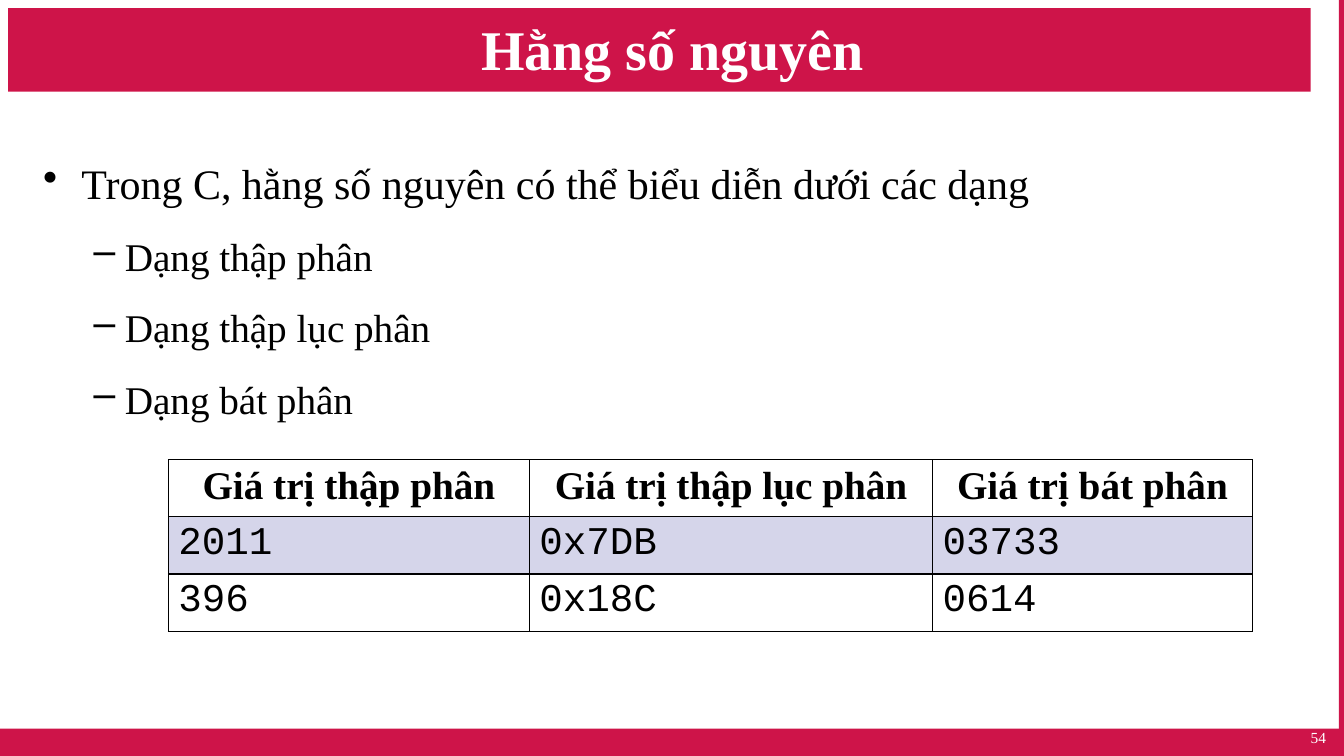
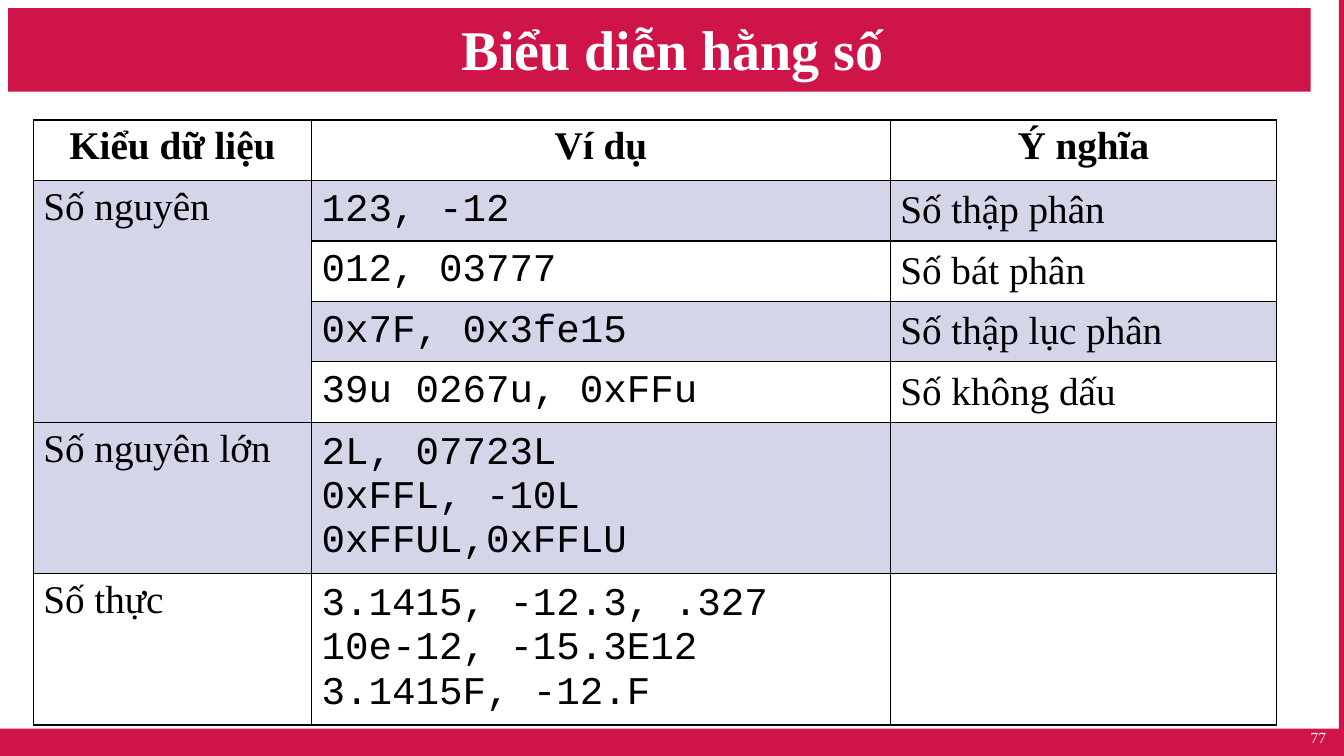
from lxml import etree
from pptx import Presentation
from pptx.dml.color import RGBColor
from pptx.enum.shapes import MSO_SHAPE
from pptx.enum.text import MSO_ANCHOR as Anchor, PP_ALIGN as Align
from pptx.oxml.ns import qn
from pptx.util import Inches, Pt

SERIF, MONO = "Times New Roman", "Courier New"
CRIMSON, WHITE, BLACK, LAVENDER = "CE1449", "FFFFFF", "000000", "D5D5EA"
SLIDE_W, SLIDE_H = 13.33, 7.5
BANDS = [(0.08, 0.08, 12.92, 0.83),
         (0, 7.23, SLIDE_W, 0.27),
         (13.28, 0, 0.05, SLIDE_H)]
TITLE_BOX = (0.67, 0.17, 12, 0.62)
NUMBER_BOX = (10.14, 7.19, 3.11, 0.25)
# Bullet, text indent, hanging indent and text size of each outline level
LEVELS = [("•", 0.38, 0.38, 30), ("–", 0.81, 0.31, 28)]


def paint(fill, color):
    fill.solid()
    fill.fore_color.rgb = RGBColor.from_string(color)


def write(paragraph, text, size=28, font=SERIF, color=BLACK, bold=False,
          align=Align.LEFT):
    paragraph.alignment = align
    run = paragraph.add_run()
    run.text = text
    run.font.name, run.font.size, run.font.bold = font, Pt(size), bold
    run.font.color.rgb = RGBColor.from_string(color)


def text_frame(slide, box, anchor=Anchor.TOP, top=0.05, bottom=0.05):
    frame = slide.shapes.add_textbox(*map(Inches, box)).text_frame
    frame.word_wrap = True
    frame.vertical_anchor = anchor
    frame.margin_top, frame.margin_bottom = Inches(top), Inches(bottom)
    return frame


def new_slide(deck, title, number):
    """Add a slide with the shared bands, title and page number."""
    slide = deck.slides.add_slide(deck.slide_layouts[6])
    for box in BANDS:
        band = slide.shapes.add_shape(MSO_SHAPE.RECTANGLE, *map(Inches, box))
        band.shadow.inherit = False
        paint(band.fill, CRIMSON)
        band.line.fill.background()
    heading = text_frame(slide, TITLE_BOX, Anchor.MIDDLE)
    write(heading.paragraphs[0], title, size=40, color=WHITE, bold=True,
          align=Align.CENTER)
    footer = text_frame(slide, NUMBER_BOX, Anchor.MIDDLE, top=0, bottom=0)
    write(footer.paragraphs[0], number, size=11, color=WHITE, align=Align.RIGHT)
    return slide


def add_outline(slide, box, items):
    """Write (level, text) items as a bulleted outline."""
    frame = text_frame(slide, box, top=0.11)
    for index, (level, text) in enumerate(items):
        bullet, indent, hanging, size = LEVELS[level]
        paragraph = frame.add_paragraph() if index else frame.paragraphs[0]
        paragraph.level = level
        props = paragraph._p.get_or_add_pPr()
        props.set("marL", str(Inches(indent)))
        props.set("indent", str(-Inches(hanging)))
        etree.SubElement(props, qn("a:buChar")).set("char", bullet)
        paragraph.line_spacing = 1.4
        paragraph.space_before = Pt(4 if index else 0)
        write(paragraph, text, size=size, align=Align.JUSTIFY)


def add_borders(cell):
    props = cell._tc.get_or_add_tcPr()
    for side in ("lnL", "lnR", "lnT", "lnB"):
        line = etree.SubElement(props, qn(f"a:{side}"), w=str(Pt(1)))
        fill = etree.SubElement(line, qn("a:solidFill"))
        etree.SubElement(fill, qn("a:srgbClr"), val=BLACK)


def add_grid(slide, left, top, widths, heights, rows, code_cols,
             middle_cols=(), merges=()):
    """Draw a bordered table with a bold header and every other row shaded."""
    table = slide.shapes.add_table(
        len(heights), len(widths), Inches(left), Inches(top),
        Inches(sum(widths)), Inches(sum(heights))).table
    table.first_row = table.horz_banding = False
    for column, width in zip(table.columns, widths):
        column.width = Inches(width)
    for row, height in zip(table.rows, heights):
        row.height = Inches(height)
    for r, row in enumerate(rows):
        for c, text in enumerate(row):
            cell = table.cell(r, c)
            add_borders(cell)
            if r % 2:
                paint(cell.fill, LAVENDER)
            else:
                cell.fill.background()
            if r and c in middle_cols:
                cell.vertical_anchor = Anchor.MIDDLE
            if not text:
                continue
            frame = cell.text_frame
            for i, line in enumerate(text.split("\n")):
                paragraph = frame.add_paragraph() if i else frame.paragraphs[0]
                if r == 0:
                    write(paragraph, line, bold=True, align=Align.CENTER)
                else:
                    write(paragraph, line, font=MONO if c in code_cols else SERIF)
    for first, last in merges:
        table.cell(*first).merge(table.cell(*last))


def integer_constants(deck):
    slide = new_slide(deck, "Hằng số nguyên", "54")
    add_outline(slide, (0.33, 1.25, 12.67, 3.2), [
        (0, "Trong C, hằng số nguyên có thể biểu diễn dưới các dạng"),
        (1, "Dạng thập phân"),
        (1, "Dạng thập lục phân"),
        (1, "Dạng bát phân"),
    ])
    add_grid(slide, 1.67, 4.56, [3.58, 4, 3.17], [0.53, 0.54, 0.54], [
        ("Giá trị thập phân", "Giá trị thập lục phân", "Giá trị bát phân"),
        ("2011", "0x7DB", "03733"),
        ("396", "0x18C", "0614"),
    ], code_cols=(0, 1, 2))


def constant_notation(deck):
    slide = new_slide(deck, "Biểu diễn hằng số", "77")
    add_grid(slide, 0.33, 1.19, [2.76, 5.74, 3.83], [0.6] * 5 + [1.42] * 2, [
        ("Kiểu dữ liệu", "Ví dụ", "Ý nghĩa"),
        ("Số nguyên", "123, -12", "Số thập phân"),
        ("", "012, 03777", "Số bát phân"),
        ("", "0x7F, 0x3fe15", "Số thập lục phân"),
        ("", "39u 0267u, 0xFFu", "Số không dấu"),
        ("Số nguyên lớn", "2L, 07723L\n0xFFL, -10L\n0xFFUL,0xFFLU", ""),
        ("Số thực", "3.1415, -12.3, .327\n10e-12, -15.3E12\n3.1415F, -12.F", ""),
    ], code_cols=(1,), middle_cols=(1, 2), merges=[((1, 0), (4, 0))])


def main():
    deck = Presentation()
    deck.slide_width, deck.slide_height = Inches(SLIDE_W), Inches(SLIDE_H)
    integer_constants(deck)
    constant_notation(deck)
    deck.save("out.pptx")


if __name__ == "__main__":
    main()
